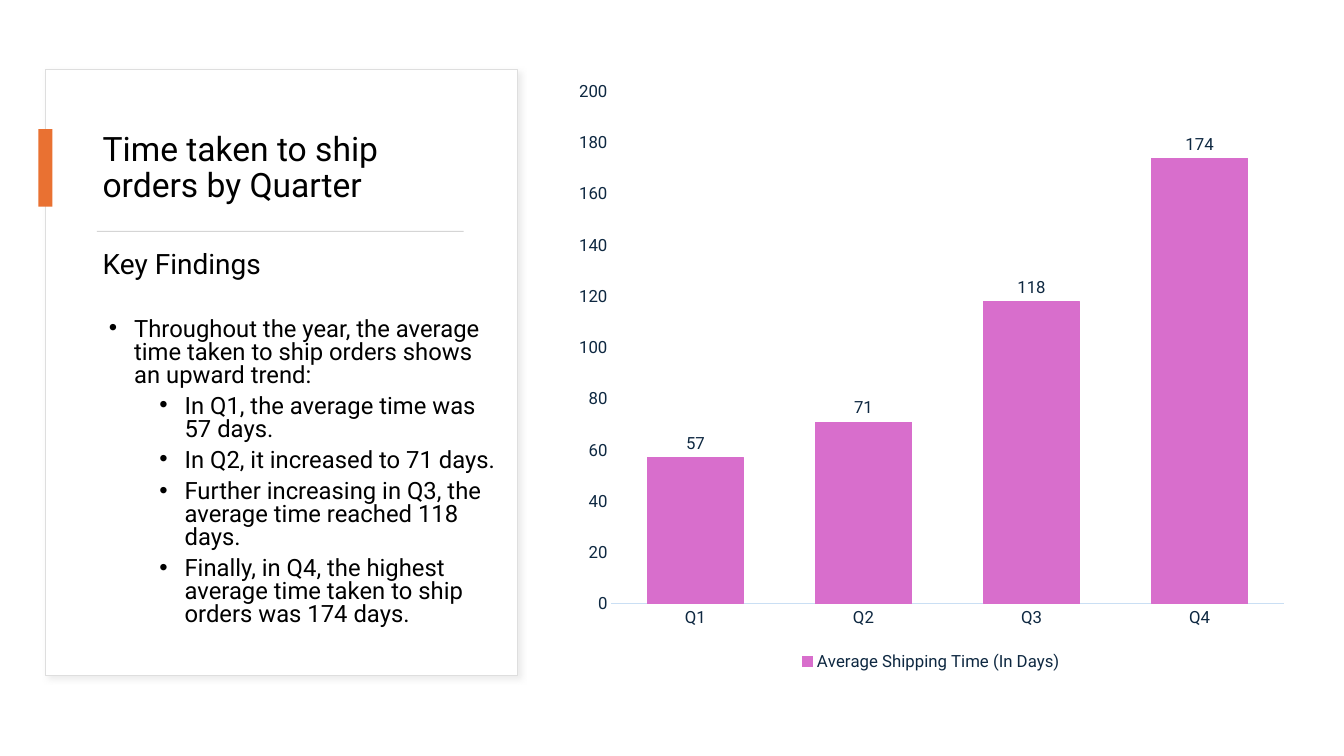
from lxml import etree
from pptx import Presentation
from pptx.chart import data as cd
from pptx.dml.color import RGBColor
from pptx.enum import chart as ec, shapes, text
from pptx.oxml import ns, parse_xml
from pptx.util import Pt

BLACK = RGBColor(0, 0, 0)
WHITE = RGBColor(0xFF, 0xFF, 0xFF)
ORANGE = RGBColor(0xE9, 0x71, 0x32)
PINK = RGBColor(0xD8, 0x6E, 0xCC)
NAVY = RGBColor(0x0E, 0x28, 0x41)
BORDER = RGBColor(0xDE, 0xDE, 0xDE)
RULE = RGBColor(0xD5, 0xD5, 0xD5)
AXIS = RGBColor(0xCA, 0xDF, 0xF4)
FONT = "Roboto"

FINDINGS = [
    (0, "Throughout the year, the average time taken to ship orders shows an upward trend:"),
    (1, "In Q1, the average time was 57 days."),
    (1, "In Q2, it increased to 71 days."),
    (1, "Further increasing in Q3, the average time reached 118 days."),
    (1, "Finally, in Q4, the highest average time taken to ship orders was 174 days."),
]


def set_font(font, size, colour):
    for key, value in {"name": FONT, "size": Pt(size)}.items():
        setattr(font, key, value)
    font.color.rgb = colour


def add_block(slide, left, top, width, height, fill, border=None):
    block = slide.shapes.add_shape(
        shapes.MSO_SHAPE.RECTANGLE, Pt(left), Pt(top), Pt(width), Pt(height))
    block.shadow.inherit = False
    block.fill.solid()
    block.fill.fore_color.rgb = fill
    if border is None:
        block.line.fill.background()
    else:
        block.line.color.rgb = border
        block.line.width = Pt(0.75)
    return block


def add_soft_shadow(block):
    effects = block._element.spPr.find(ns.qn("a:effectLst"))
    effects.append(parse_xml(
        f'<a:outerShdw {ns.nsdecls("a")} blurRad="{Pt(4)}" dist="{Pt(3)}" '
        'dir="2700000" algn="tl" rotWithShape="0"><a:srgbClr val="D9D9D9">'
        '<a:alpha val="50000"/></a:srgbClr></a:outerShdw>'))


def add_frame(slide, left, top, width, height, anchor):
    frame = slide.shapes.add_textbox(
        Pt(left), Pt(top), Pt(width), Pt(height)).text_frame
    frame.word_wrap = True
    frame.vertical_anchor = anchor
    return frame


def write(paragraph, wording, size, **spacing):
    run = paragraph.add_run()
    run.text = wording
    set_font(run.font, size, BLACK)
    for key, value in spacing.items():
        setattr(paragraph, key, value)


def add_bullet(paragraph, indent):
    properties = paragraph._p.get_or_add_pPr()
    properties.set("marL", str(Pt(indent)))
    properties.set("indent", str(Pt(-18)))
    font = etree.SubElement(properties, ns.qn("a:buFont"))
    font.set("typeface", "Arial")
    bullet = etree.SubElement(properties, ns.qn("a:buChar"))
    bullet.set("char", "•")


def findings_panel(slide, left, top, width, height):
    add_soft_shadow(add_block(slide, left, top, width, height, WHITE, BORDER))
    inner = left + 33.84
    title = add_frame(slide, inner, top + 27.36, 268.56, 87.12, text.MSO_ANCHOR.MIDDLE)
    write(title.paragraphs[0], "Time taken to ship orders by Quarter", 24, line_spacing=0.9)
    add_block(slide, left - 5, top + 42.5, 10, 55.5, ORANGE)
    add_block(slide, inner + 2.88, top + 115.2, 262, 0.72, RULE)

    body = add_frame(slide, inner, top + 127.44, 296.64, 293, text.MSO_ANCHOR.TOP)
    write(body.paragraphs[0], "Key Findings", 20, line_spacing=0.8, space_after=Pt(28))
    for level, wording in FINDINGS:
        finding = body.add_paragraph()
        write(finding, wording, 17, level=level, line_spacing=0.8, space_after=Pt(6))
        add_bullet(finding, 22.5 + 36 * level)


def shipping_chart(slide, left, top, width, height):
    quarters = cd.CategoryChartData(number_format="0")
    quarters.categories = ["Q1", "Q2", "Q3", "Q4"]
    quarters.add_series("Average Shipping Time (In Days)", [57, 71, 118, 174])
    chart = slide.shapes.add_chart(
        ec.XL_CHART_TYPE.COLUMN_CLUSTERED,
        Pt(left), Pt(top), Pt(width), Pt(height), quarters).chart
    set_font(chart.font, 12, NAVY)
    chart.has_title = False
    chart.has_legend = True
    chart.legend.position = ec.XL_LEGEND_POSITION.BOTTOM
    chart.legend.include_in_layout = False
    set_font(chart.legend.font, 12, NAVY)

    for axis in (chart.category_axis, chart.value_axis):
        axis.major_tick_mark = axis.minor_tick_mark = ec.XL_TICK_MARK.NONE
        axis.has_major_gridlines = False
        set_font(axis.tick_labels.font, 12, NAVY)
    chart.category_axis.format.line.color.rgb = AXIS
    chart.category_axis.format.line.width = Pt(0.75)
    days = chart.value_axis
    for key, value in {"minimum_scale": 0, "maximum_scale": 200, "major_unit": 20}.items():
        setattr(days, key, value)
    days.format.line.fill.background()

    plot = chart.plots[0]
    plot.gap_width = 75
    plot.vary_by_categories = False
    columns = plot.series[0].format
    columns.fill.solid()
    columns.fill.fore_color.rgb = PINK
    columns.line.color.rgb = PINK
    columns.line.width = Pt(0.75)
    labels = plot.series[0].data_labels
    label_format = {
        "show_value": True,
        "number_format": "0",
        "number_format_is_linked": False,
        "position": ec.XL_LABEL_POSITION.OUTSIDE_END,
    }
    for key, value in label_format.items():
        setattr(labels, key, value)
    set_font(labels.font, 12, NAVY)


def main():
    deck = Presentation()
    deck.slide_width, deck.slide_height = Pt(960), Pt(540)
    slide = deck.slides.add_slide(deck.slide_layouts[6])
    findings_panel(slide, 32.4, 49.68, 336.96, 432.72)
    shipping_chart(slide, 403.2, 49.68, 524.16, 432.72)
    deck.save("out.pptx")


if __name__ == "__main__":
    main()
